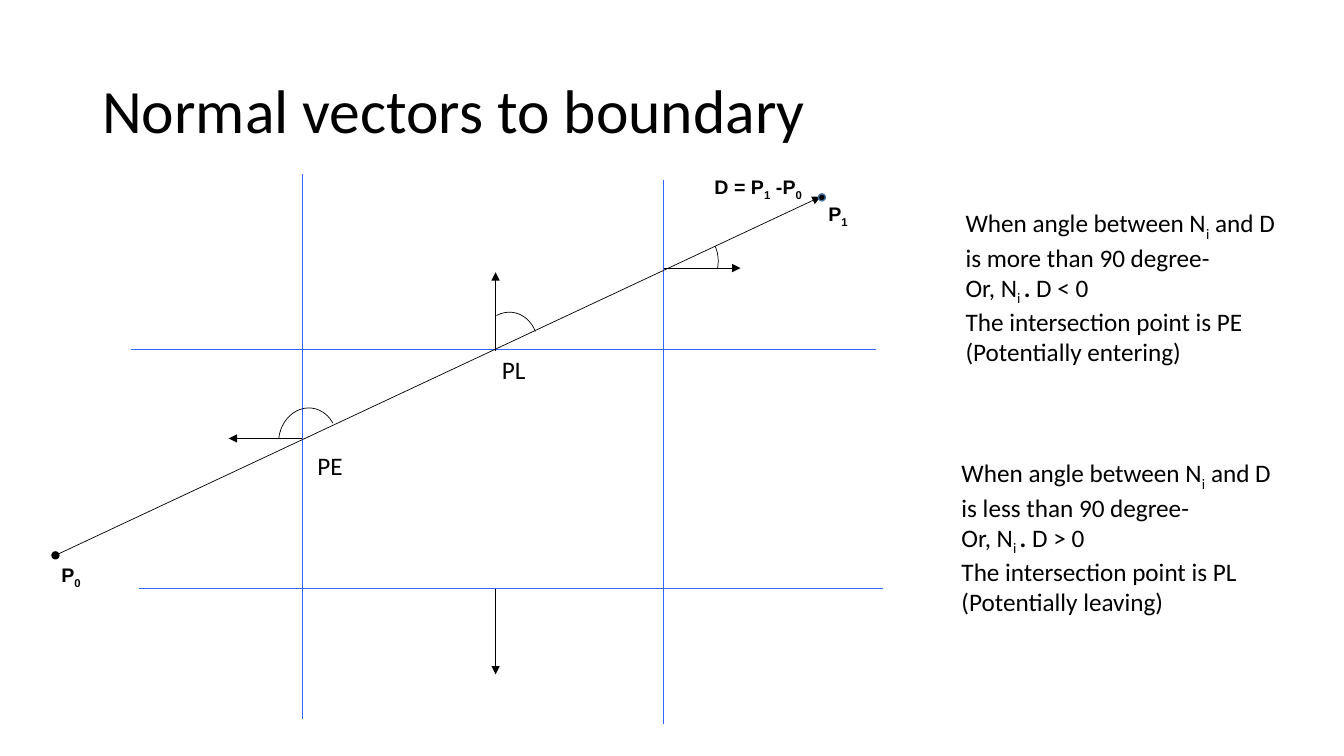
from dataclasses import dataclass

from pptx import Presentation
from pptx.dml.color import RGBColor
from pptx.enum.shapes import MSO_CONNECTOR, MSO_SHAPE
from pptx.enum.text import MSO_ANCHOR, MSO_AUTO_SIZE
from pptx.oxml.ns import qn
from pptx.util import Pt
from lxml.etree import SubElement


@dataclass(frozen=True)
class Theme:
    ink: RGBColor = RGBColor(0x00, 0x00, 0x00)
    boundary: RGBColor = RGBColor(0x33, 0x66, 0xFF)
    dot_edge: RGBColor = RGBColor(0x43, 0x73, 0x9E)
    body_font: str = "Calibri"
    label_font: str = "Arial"
    title_size: int = 44
    body_size: int = 18
    label_size: int = 14
    boundary_width: float = 0.75
    vector_width: float = 0.5


THEME = Theme()
SUB = "subscript"
BOLD = "bold"
ARC_SIZE = (48.2, 41.8)
ARC_TURN = 276.3
ARC_UNITS_PER_DEGREE = 0.6


def add_text(slide, box, paragraphs, size, font=THEME.body_font, bold=False):
    """Each paragraph is a list of plain strings and (string, style) pairs."""
    frame = slide.shapes.add_textbox(*map(Pt, box)).text_frame
    frame.word_wrap = True
    frame.auto_size = MSO_AUTO_SIZE.SHAPE_TO_FIT_TEXT
    for index, pieces in enumerate(paragraphs):
        paragraph = frame.paragraphs[0] if index == 0 else frame.add_paragraph()
        paragraph.font.name = font
        paragraph.font.size = Pt(size)
        paragraph.font.bold = bold
        paragraph.font.color.rgb = THEME.ink
        for piece in pieces:
            words, style = (piece, None) if isinstance(piece, str) else piece
            run = paragraph.add_run()
            run.text = words
            if style == SUB:
                run.font._element.set("baseline", "-25000")
            elif style == BOLD:
                run.font.bold = True
    return frame


def add_title(slide, words):
    frame = add_text(slide, (66, 28.8, 828, 104.4), [[words]], THEME.title_size)
    frame.auto_size = MSO_AUTO_SIZE.NONE
    frame.vertical_anchor = MSO_ANCHOR.MIDDLE
    frame.paragraphs[0].line_spacing = 0.9


def add_point_label(slide, left, top, pieces):
    add_text(slide, (left, top, 83.5, 24.5), [pieces],
             THEME.label_size, THEME.label_font, bold=True)


def add_case(slide, left, top, comparison, sign, kind, meaning):
    add_text(slide, (left, top, 248, 116.6), [
        ["When angle between N", ("i", SUB), f" and D is {comparison} than 90 degree-"],
        ["Or, N", ("i ", SUB), (". ", BOLD), f"D {sign} 0"],
        [f"The intersection point is {kind}"],
        [f"(Potentially {meaning})"],
    ], THEME.body_size)


def add_line(slide, start, end, color, width, head=None, tail=None):
    line = slide.shapes.add_connector(
        MSO_CONNECTOR.STRAIGHT, *map(Pt, (*start, *end)))
    line.line.color.rgb = color
    line.line.width = Pt(width)
    properties = line._element.spPr
    outline = properties.find(qn("a:ln"))
    for tag, arrow in (("a:headEnd", head), ("a:tailEnd", tail)):
        if arrow:
            SubElement(outline, qn(tag), type=arrow)
    SubElement(properties, qn("a:effectLst"))


def add_vector(slide, start, end, head=None):
    add_line(slide, start, end, THEME.ink, THEME.vector_width, head, "triangle")


def add_angle(slide, left, top, first, last):
    """Arc from the first to the last angle, in degrees before the turn."""
    arc = slide.shapes.add_shape(MSO_SHAPE.ARC, *map(Pt, (left, top, *ARC_SIZE)))
    arc.shadow.inherit = False
    arc.rotation = ARC_TURN
    arc.adjustments[0] = first * ARC_UNITS_PER_DEGREE
    arc.adjustments[1] = last * ARC_UNITS_PER_DEGREE
    arc.fill.background()
    arc.line.color.rgb = THEME.ink
    arc.line.width = Pt(THEME.vector_width)


def add_end_dot(slide, left, top, size):
    dot = slide.shapes.add_shape(MSO_SHAPE.OVAL, *map(Pt, (left, top, size, size)))
    dot.shadow.inherit = False
    dot.fill.solid()
    dot.fill.fore_color.rgb = THEME.ink
    dot.line.color.rgb = THEME.dot_edge
    dot.line.width = Pt(1)


def main():
    deck = Presentation()
    deck.slide_width, deck.slide_height = Pt(960), Pt(540)
    slide = deck.slides.add_slide(deck.slide_layouts[6])
    add_title(slide, "Normal vectors to boundary")

    # Clip window boundaries
    for start, end in (
        ((216, 124.5), (216, 513.5)),
        ((473.76, 128.5), (473.76, 517.5)),
        ((625.5, 249.84), (93.5, 249.84)),
        ((631, 420.5), (99, 420.5)),
    ):
        add_line(slide, start, end, THEME.boundary, THEME.boundary_width)

    # Outward normals
    for start, end in (
        ((216, 313.2), (163.4, 313.2)),
        ((474.5, 191.5), (529, 191.5)),
        ((354, 250.5), (354, 194.5)),
        ((354, 420.5), (354, 481.7)),
    ):
        add_vector(slide, start, end)

    # Clipped line with its end points
    add_vector(slide, (39.6, 396.7), (586.1, 140.6), head="oval")
    add_end_dot(slide, 584.6, 138.5, 5)
    add_point_label(slide, 36.7, 398.6, ["P", ("0", SUB)])
    add_point_label(slide, 584.6, 140.8, ["P", ("1", SUB)])
    add_point_label(slide, 503.3, 121.7, ["D = P", ("1", SUB), " -P", ("0", SUB)])

    # Rules for entering and leaving points
    add_case(slide, 682.6, 144.7, "more", "<", "PE", "entering")
    add_case(slide, 679.7, 323.3, "less", ">", "PL", "leaving")

    # Intersection labels
    for kind, left, top in (("PE", 219.6, 318.2), ("PL", 351.4, 249.8)):
        add_text(slide, (left, top, 40, 28.8), [[kind]], THEME.body_size)

    # Angles between the normals and D
    for left, top, first, last in (
        (195.8, 294.5, 270, 47.56),
        (339.1, 226.1, 332, 55.42),
        (468, 166.3, 52.22, 96.28),
    ):
        add_angle(slide, left, top, first, last)

    deck.save("out.pptx")


if __name__ == "__main__":
    main()
